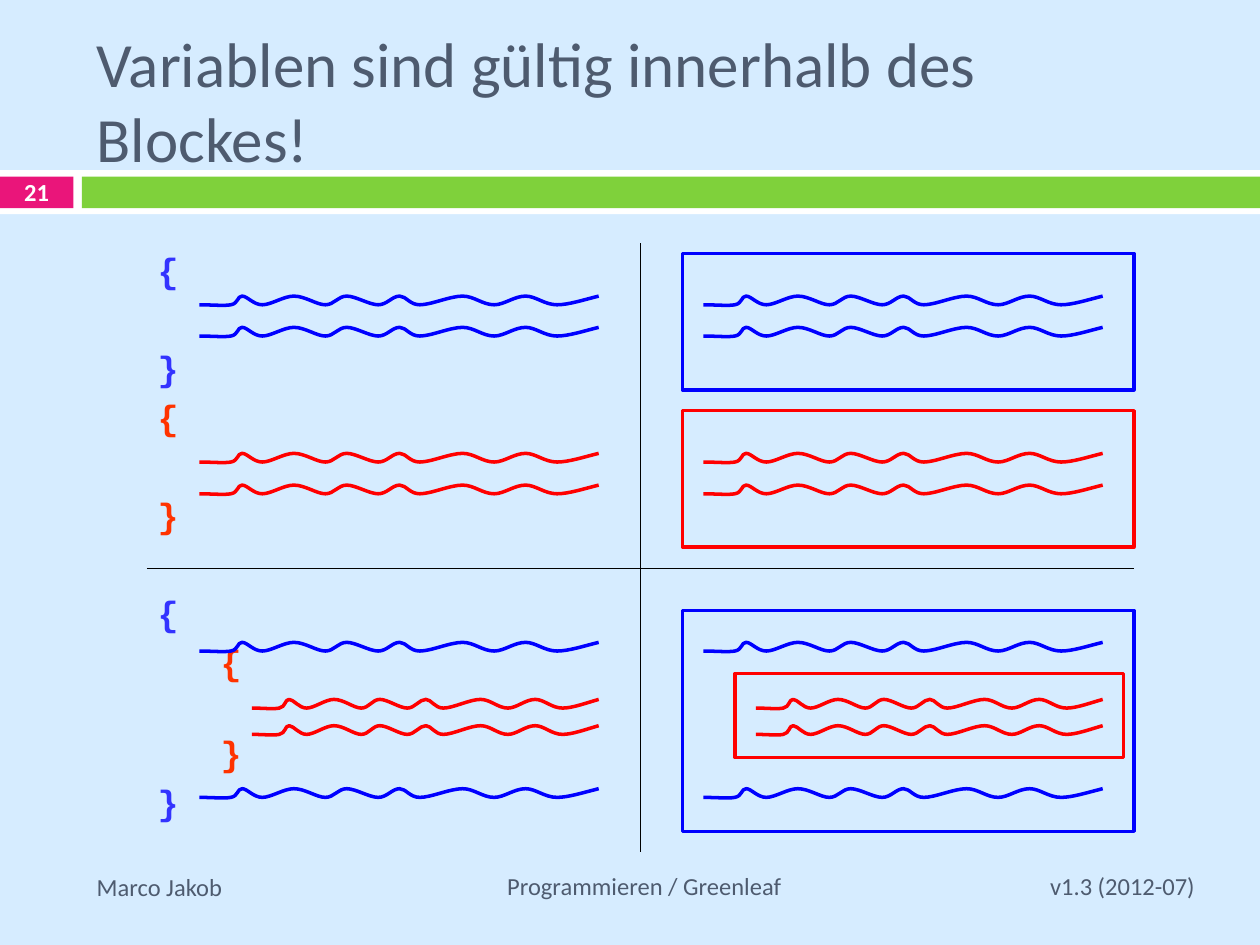
"""Build a slide on the scope of variables inside code blocks."""
from lxml import etree
from pptx import Presentation
from pptx import util as u
from pptx.dml.color import RGBColor
from pptx.enum import shapes, text
from pptx.oxml.ns import qn

SKY = RGBColor(0xD6, 0xEC, 0xFF)
WHITE = RGBColor(0xFF, 0xFF, 0xFF)
BLACK = RGBColor(0, 0, 0)
PINK = RGBColor(0xEA, 0x15, 0x7A)
GREEN = RGBColor(0x7F, 0xD1, 0x3B)
SLATE = RGBColor(0x4E, 0x5B, 0x6F)
BLUE = RGBColor(0, 0, 0xFF)
RED = RGBColor(0xFF, 0, 0)
BRACE_BLUE = RGBColor(0x33, 0x33, 0xFF)
BRACE_RED = RGBColor(0xFF, 0x33, 0)

WAVE_WIDTH, WAVE_HEIGHT = 317, 8
WAVE_START = (0, 7)
WAVE_POINTS = [
    (10, 7), (20, 8), (25, 7), (31, 6), (30, 0), (34, 0),
    (38, 0), (43, 7), (50, 7), (57, 7), (67, 0), (75, 0),
    (84, 0), (93, 7), (100, 7), (107, 7), (110, 0), (117, 0),
    (124, 0), (135, 7), (142, 7), (149, 7), (153, 0), (159, 0),
    (164, 0), (167, 7), (175, 7), (184, 7), (199, 0), (209, 0),
    (218, 0), (225, 7), (234, 7), (242, 7), (250, 0), (259, 0),
    (267, 0), (274, 7), (284, 7), (293, 7), (305, 3), (317, 0),
]


class SlideBuilder:
    """Hold the style and the current slide."""

    font = "Calibri"
    code_font = "Courier New"
    line_width = u.Pt(2)

    def __init__(self, slide):
        self.slide = slide
        fill = slide.background.fill
        fill.solid()
        fill.fore_color.rgb = SKY

    def rectangle(self, left, top, width, height, fill=None, line=None):
        """Draw a filled bar or an outlined block."""
        shape = self.slide.shapes.add_shape(
            shapes.MSO_SHAPE.RECTANGLE, u.Cm(left), u.Cm(top), u.Cm(width), u.Cm(height))
        self.paint(shape, fill, line)

    def paint(self, shape, fill, line):
        """Set fill and line of a shape, without shadow."""
        shape.shadow.inherit = False
        if fill is None:
            shape.fill.background()
        else:
            shape.fill.solid()
            shape.fill.fore_color.rgb = fill
        if line is None:
            shape.line.fill.background()
        else:
            shape.line.color.rgb = line
            shape.line.width = self.line_width

    def label(self, left, top, width, height, words, size=14, color=SLATE, bold=False,
              align=text.PP_ALIGN.LEFT):
        """Write one paragraph, centred vertically in its box."""
        shape = self.slide.shapes.add_textbox(
            u.Cm(left), u.Cm(top), u.Cm(width), u.Cm(height))
        frame = shape.text_frame
        frame.word_wrap = True
        frame.vertical_anchor = text.MSO_ANCHOR.MIDDLE
        paragraph = frame.paragraphs[0]
        paragraph.text = words
        paragraph.alignment = align
        self.style(paragraph, self.font, size, color, bold)

    def style(self, paragraph, name, size, color, bold):
        """Set the font of a paragraph."""
        font = paragraph.font
        font.name, font.size, font.bold = name, u.Pt(size), bold
        font.color.rgb = color

    def code(self, left, top, width, height, braces):
        """Write braces given as (sign, colour, space before, indent) in points."""
        shape = self.slide.shapes.add_textbox(
            u.Cm(left), u.Cm(top), u.Cm(width), u.Cm(height))
        frame = shape.text_frame
        frame.word_wrap = True
        frame.margin_left = frame.margin_right = frame.margin_top = frame.margin_bottom = 0
        for index, (sign, color, space, indent) in enumerate(braces):
            paragraph = frame.add_paragraph() if index else frame.paragraphs[0]
            paragraph.text = sign
            paragraph.line_spacing = u.Pt(24)
            paragraph.space_before = u.Pt(space)
            paragraph._p.get_or_add_pPr().set("marL", str(u.Pt(indent)))
            self.style(paragraph, self.code_font, 20, color, True)

    def wave(self, left, top, width, color):
        """Draw a wavy code line from cubic curves."""
        scale = (u.Cm(width) / WAVE_WIDTH, u.Cm(0.2) / WAVE_HEIGHT)
        builder = self.slide.shapes.build_freeform(*WAVE_START, scale=scale)
        builder.add_line_segments(WAVE_POINTS, close=False)
        shape = builder.convert_to_shape(u.Cm(left), u.Cm(top))
        segments = list(shape._element.iter(qn("a:lnTo")))
        outline = segments[0].getparent()
        for start in range(0, len(segments), 3):
            curve = etree.SubElement(outline, qn("a:cubicBezTo"))
            for segment in segments[start:start + 3]:
                curve.append(segment[0])
                outline.remove(segment)
        self.paint(shape, None, color)

    def divider(self, left, top, right, bottom):
        """Draw a thin straight line."""
        connector = self.slide.shapes.add_connector(
            shapes.MSO_CONNECTOR.STRAIGHT, u.Cm(left), u.Cm(top), u.Cm(right), u.Cm(bottom))
        connector.line.color.rgb = BLACK
        connector.line.width = u.Pt(0.75)
        etree.SubElement(connector._element.spPr, qn("a:effectLst"))


def main():
    presentation = Presentation()
    presentation.slide_width, presentation.slide_height = u.Cm(25.4), u.Cm(19.05)
    builder = SlideBuilder(presentation.slides.add_slide(presentation.slide_layouts[6]))

    builder.rectangle(0, 3.43, 25.4, 0.89, fill=WHITE)
    builder.rectangle(0, 3.56, 1.48, 0.64, fill=PINK)
    builder.rectangle(1.65, 3.56, 23.75, 0.64, fill=GREEN)
    builder.label(1.7, 0.64, 22.5, 2.74, "Variablen sind gültig innerhalb des Blockes!", size=36)
    builder.label(0, 3.33, 1.48, 1.09, "21", color=WHITE, bold=True, align=text.PP_ALIGN.CENTER)
    builder.label(1.7, 17.45, 4, 0.86, "Marco Jakob")
    builder.label(5.89, 17.35, 14.2, 1.02, "Programmieren / Greenleaf",
                  align=text.PP_ALIGN.CENTER)
    builder.label(20.35, 17.35, 3.99, 1.02, "v1.3 (2012-07)", align=text.PP_ALIGN.RIGHT)

    builder.code(3.18, 5, 9.73, 12.4, [
        ("{", BRACE_BLUE, 2, 0), ("}", BRACE_BLUE, 32, 0),
        ("{", BRACE_RED, 4, 0), ("}", BRACE_RED, 32, 0),
        ("{", BRACE_BLUE, 32, 0), ("{", BRACE_RED, 4, 36),
        ("}", BRACE_RED, 28, 36), ("}", BRACE_BLUE, 4, 0),
    ])

    outer_waves = [(5.97, BLUE), (6.6, BLUE), (9.14, RED), (9.78, RED),
                   (12.95, BLUE), (15.9, BLUE)]
    for column in (0, 10.16):
        for top, color in outer_waves:
            builder.wave(4.02 + column, top, 8.05, color)
        for top in (14.1, 14.63):
            builder.wave(5.08 + column, top, 6.99, RED)

    builder.divider(2.96, 11.46, 22.86, 11.46)
    builder.divider(12.91, 4.9, 12.91, 17.17)

    builder.rectangle(13.76, 5.11, 9.1, 2.75, line=BLUE)
    builder.rectangle(13.76, 8.28, 9.1, 2.75, line=RED)
    builder.rectangle(14.82, 13.58, 7.83, 1.69, line=RED)
    builder.rectangle(13.76, 12.31, 9.1, 4.45, line=BLUE)

    presentation.save("out.pptx")


if __name__ == "__main__":
    main()
